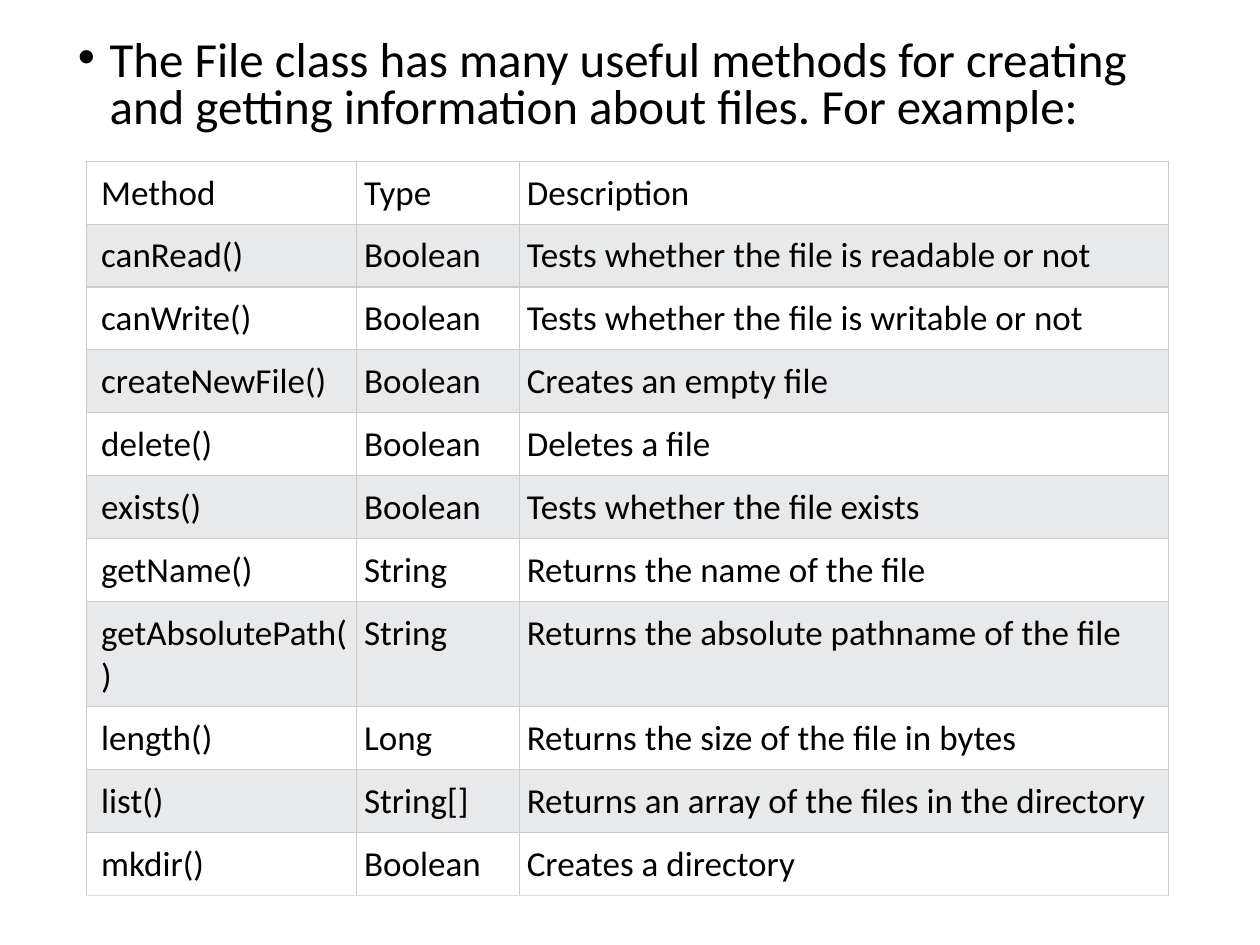
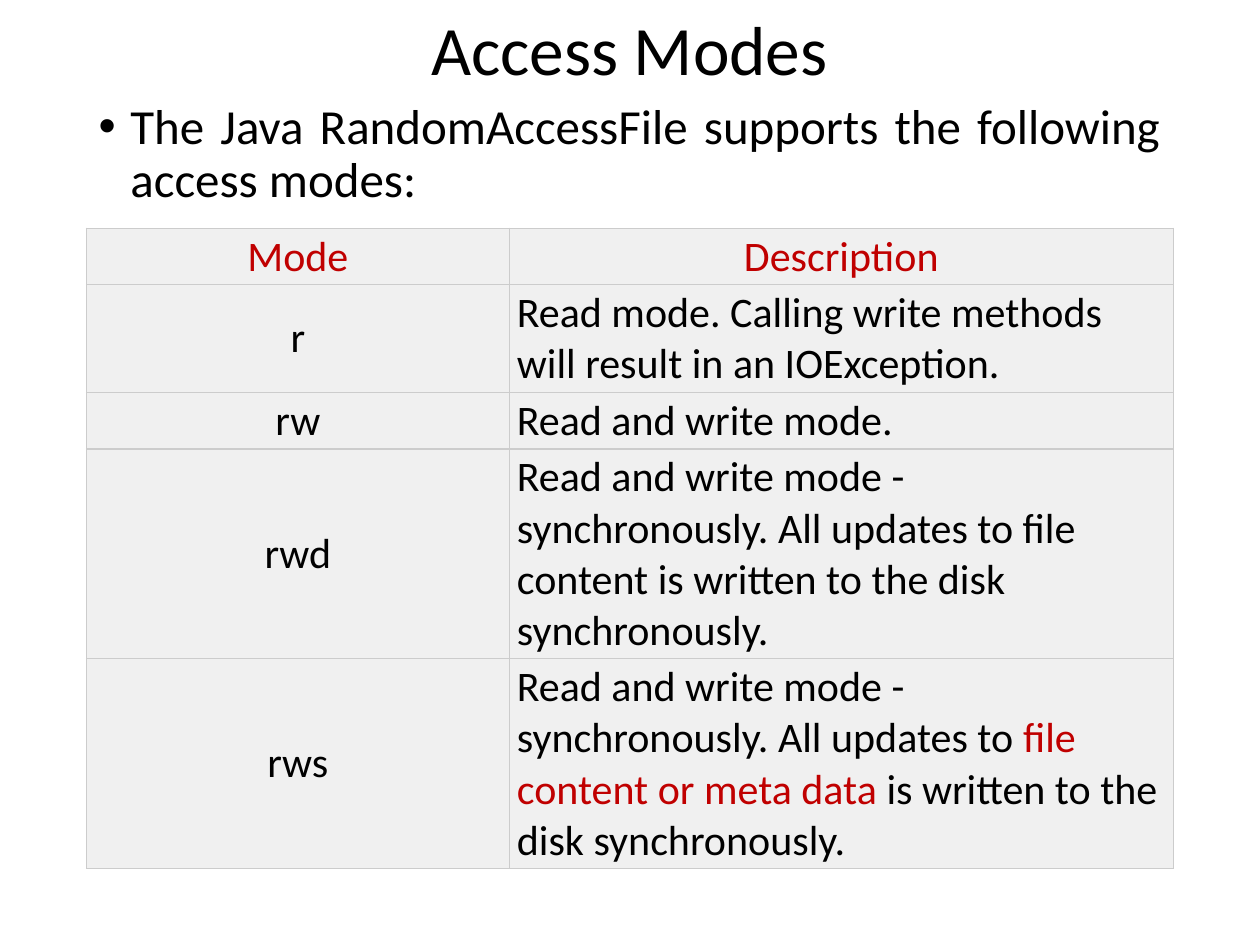
from lxml.etree import SubElement
from pptx import Presentation
from pptx.dml.color import RGBColor
from pptx.enum.text import MSO_ANCHOR, PP_ALIGN
from pptx.oxml import parse_xml
from pptx.oxml.ns import nsdecls, qn
from pptx.util import Cm, Pt

FONT = "Calibri"
BLACK = RGBColor(0x00, 0x00, 0x00)
RED = RGBColor(0xC0, 0x00, 0x00)
WHITE = RGBColor(0xFF, 0xFF, 0xFF)
BAND = RGBColor(0xE7, 0xE9, 0xEB)
GREY = RGBColor(0xF0, 0xF0, 0xF0)
BORDER = RGBColor(0xCC, 0xCC, 0xCC)
BOTTOM_BORDER = RGBColor(0xDD, 0xDD, 0xDD)
LEFT = Cm(1.74)


def write(tf, runs, size, align=PP_ALIGN.LEFT, spacing=1.0, bullet=False):
    """Fill the first paragraph of tf with (text, colour) runs."""
    tf.word_wrap = True
    p = tf.paragraphs[0]
    p.alignment = align
    p.line_spacing = spacing
    if bullet:
        p.space_before = Pt(10)
        pPr = p._p.get_or_add_pPr()
        pPr.set("marL", str(Cm(0.64)))
        pPr.set("indent", str(-Cm(0.64)))
        SubElement(pPr, qn("a:buFont"), typeface="Arial")
        SubElement(pPr, qn("a:buChar"), char="•")
    for text, color in runs:
        r = p.add_run()
        r.text = text
        r.font.name = FONT
        r.font.size = Pt(size)
        r.font.color.rgb = color


def style_cell(cell, fill, margins, bottom=BORDER):
    """Set fill, margins in cm (left, top, right, bottom) and thin borders."""
    cell.fill.solid()
    cell.fill.fore_color.rgb = fill
    (cell.margin_left, cell.margin_top,
     cell.margin_right, cell.margin_bottom) = [Cm(m) for m in margins]
    tcPr = cell._tc.get_or_add_tcPr()
    sides = [("L", BORDER), ("R", BORDER), ("T", BORDER), ("B", bottom)]
    for i, (side, color) in enumerate(sides):
        tcPr.insert(i, parse_xml(
            f'<a:ln{side} {nsdecls("a")} w="{Pt(0.75)}"><a:solidFill>'
            f'<a:srgbClr val="{color}"/></a:solidFill></a:ln{side}>'))


prs = Presentation()
prs.slide_width = Cm(25.4)
prs.slide_height = Cm(19.05)
blank = prs.slide_layouts[6]

# Slide 1: methods of the File class
s = prs.slides.add_slide(blank)
intro = s.shapes.add_textbox(Cm(1.32), Cm(0.67), Cm(22.48), Cm(2.29))
write(intro.text_frame,
      [("The File class has many useful methods for creating and getting "
        "information about files. For example:", BLACK)],
      28, spacing=0.8, bullet=True)

methods = [
    ("Method", "Type", "Description"),
    ("canRead()", "Boolean", "Tests whether the file is readable or not"),
    ("canWrite()", "Boolean", "Tests whether the file is writable or not"),
    ("createNewFile()", "Boolean", "Creates an empty file"),
    ("delete()", "Boolean", "Deletes a file"),
    ("exists()", "Boolean", "Tests whether the file exists"),
    ("getName()", "String", "Returns the name of the file"),
    ("getAbsolutePath()", "String", "Returns the absolute pathname of the file"),
    ("length()", "Long", "Returns the size of the file in bytes"),
    ("list()", "String[]", "Returns an array of the files in the directory"),
    ("mkdir()", "Boolean", "Creates a directory"),
]
table = s.shapes.add_table(len(methods), 3, LEFT, Cm(3.25), Cm(21.81),
                           Cm(1.22) * len(methods)).table
table.first_row = table.horz_banding = False
for column, width in zip(table.columns, (5.45, 3.28, 13.08)):
    column.width = Cm(width)
for i, row in enumerate(methods):
    for j, text in enumerate(row):
        cell = table.cell(i, j)
        style_cell(cell, BAND if i % 2 else WHITE,
                   (0.15 if j else 0.3, 0.21, 0.15, 0.21),
                   BOTTOM_BORDER if i == len(methods) - 1 else BORDER)
        write(cell.text_frame, [(text, BLACK)], 20)

# Slide 2: access modes of RandomAccessFile
s = prs.slides.add_slide(blank)
title = s.shapes.add_textbox(LEFT, Cm(0.37), Cm(21.9), Cm(1.42))
title.text_frame.vertical_anchor = MSO_ANCHOR.MIDDLE
write(title.text_frame, [("Access Modes", BLACK)], 39.6, PP_ALIGN.CENTER, 0.9)
body = s.shapes.add_textbox(LEFT, Cm(1.93), Cm(21.9), Cm(12.09))
write(body.text_frame,
      [("The Java RandomAccessFile supports the following access modes:", BLACK)],
      28, PP_ALIGN.JUSTIFY, 0.9, bullet=True)

# Mode, description runs, lines the description takes
modes = [
    ("Mode", [("Description", RED)], 1),
    ("r", [("Read mode. Calling write methods will result in an IOException.",
            BLACK)], 2),
    ("rw", [("Read and write mode.", BLACK)], 1),
    ("rwd", [("Read and write mode - synchronously. All updates to file content "
              "is written to the disk synchronously.", BLACK)], 4),
    ("rws", [("Read and write mode - synchronously. All updates to ", BLACK),
             ("file content or meta data ", RED),
             ("is written to the disk synchronously.", BLACK)], 4),
]
table = s.shapes.add_table(len(modes), 2, LEFT, Cm(4.6), Cm(21.91), Cm(12.7)).table
table.first_row = table.horz_banding = False
for column, width in zip(table.columns, (8.53, 13.38)):
    column.width = Cm(width)
for i, (mode, description, lines) in enumerate(modes):
    table.rows[i].height = Cm(1.03 * lines + 0.11)
    for j, runs in enumerate(([(mode, BLACK if i else RED)], description)):
        cell = table.cell(i, j)
        centred = i == 0 or j == 0
        style_cell(cell, GREY, (0.15, 0.06, 0.15 if centred else 0.25, 0.06))
        cell.vertical_anchor = MSO_ANCHOR.MIDDLE
        write(cell.text_frame, runs, 24,
              PP_ALIGN.CENTER if centred else PP_ALIGN.LEFT)

prs.save("out.pptx")
